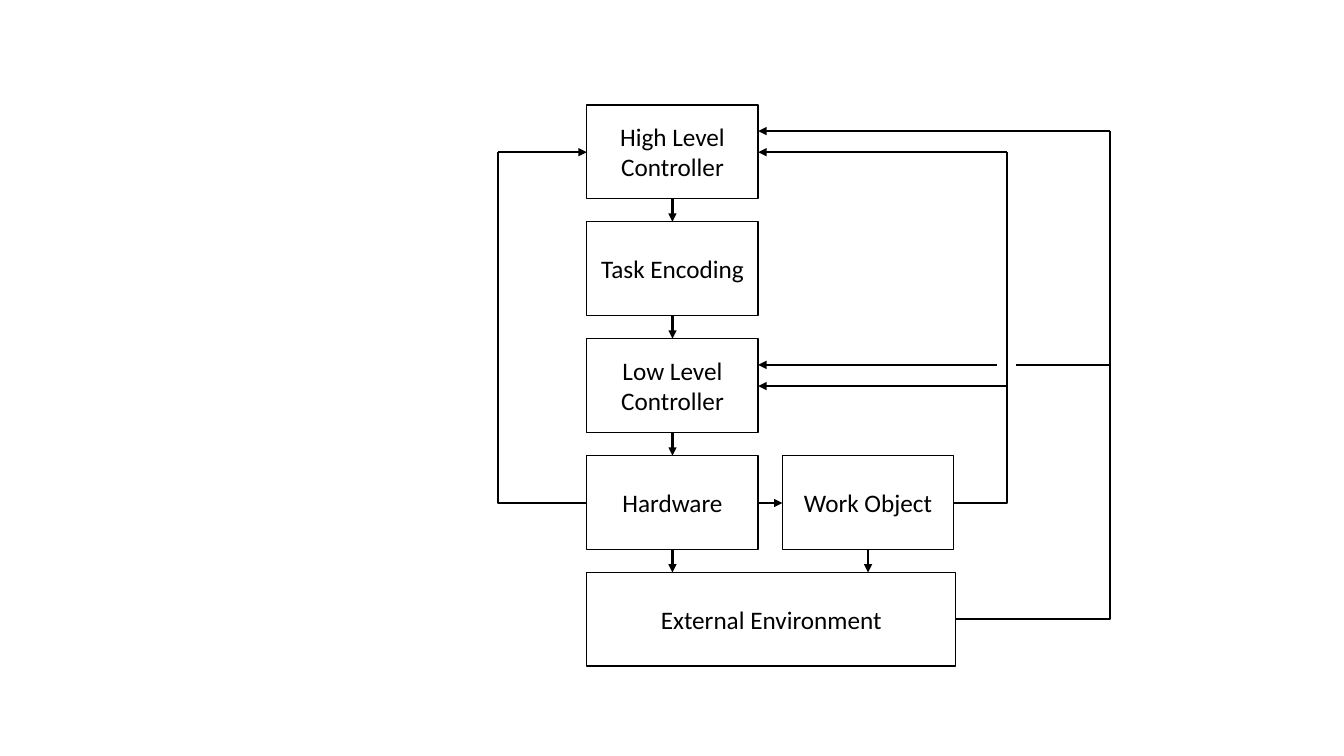
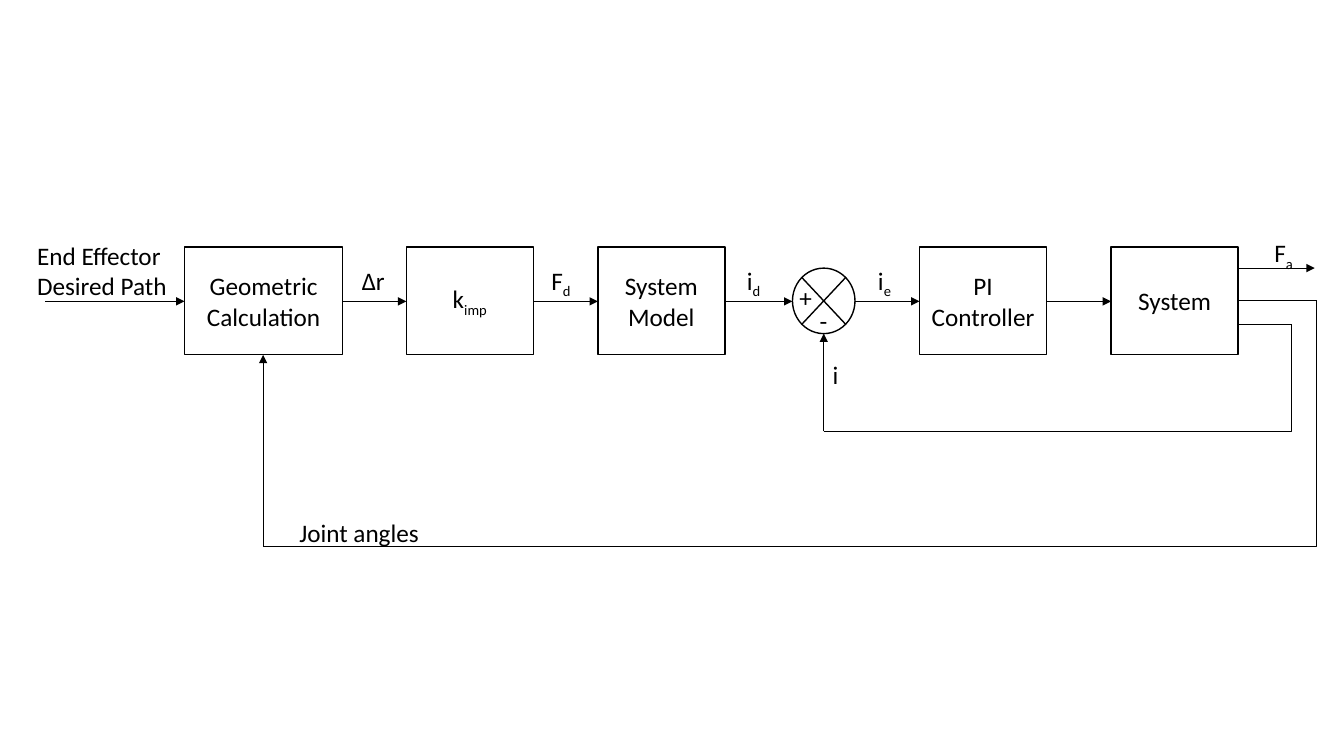
import pptx
import pptx.dml.color
import pptx.enum.shapes
import pptx.enum.text
import pptx.oxml.ns
import pptx.util
from lxml import etree

PX = 9144  # EMU, 100 px to the inch
BLACK = pptx.dml.color.RGBColor.from_string("000000")
WHITE = pptx.dml.color.RGBColor.from_string("FFFFFF")
RECTANGLE = pptx.enum.shapes.MSO_SHAPE.RECTANGLE
OVAL = pptx.enum.shapes.MSO_SHAPE.OVAL
CONNECTOR = pptx.enum.shapes.MSO_CONNECTOR
qn = pptx.oxml.ns.qn


def add_box(shapes, left, top, width, height, text, outline=None):
    """Add an outlined shape, or a plain label if no outline; "_" starts a subscript."""
    frame = [value * PX for value in (left, top, width, height)]
    if outline is None:
        shape = shapes.add_textbox(*frame)
        shape.text_frame.word_wrap = False
        shape.text_frame.auto_size = pptx.enum.text.MSO_AUTO_SIZE.SHAPE_TO_FIT_TEXT
        alignment = pptx.enum.text.PP_ALIGN.LEFT
    else:
        shape = shapes.add_shape(outline, *frame)
        shape.shadow.inherit = False
        shape.fill.solid()
        shape.fill.fore_color.rgb = WHITE
        shape.line.color.rgb = BLACK
        shape.line.width = pptx.util.Pt(1)
        shape.text_frame.word_wrap = True
        shape.text_frame.vertical_anchor = pptx.enum.text.MSO_ANCHOR.MIDDLE
        alignment = pptx.enum.text.PP_ALIGN.CENTER
    shape.text_frame.text = text.partition("_")[0]
    for paragraph in shape.text_frame.paragraphs:
        paragraph.alignment = alignment
        paragraph.font.name = "Calibri"
        paragraph.font.size = pptx.util.Pt(18)
        paragraph.font.color.rgb = BLACK
    subscript = text.partition("_")[2]
    if subscript:
        run = shape.text_frame.paragraphs[0].add_run()
        run.text = subscript
        run._r.get_or_add_rPr().set("baseline", "-25000")


def connect(shapes, start, end, weight, arrow=True, elbow=False):
    """Draw a line from start to end; an elbow runs across first, then up or down."""
    kind = CONNECTOR.ELBOW if elbow else CONNECTOR.STRAIGHT
    connector = shapes.add_connector(kind, *(value * PX for value in (*start, *end)))
    connector.line.color.rgb = BLACK
    connector.line.width = pptx.util.Pt(weight)
    properties = connector._element.spPr
    if elbow:
        properties.find(qn("a:prstGeom")).set("prst", "bentConnector2")
    if arrow:
        etree.SubElement(properties.find(qn("a:ln")), qn("a:tailEnd"), type="triangle")
    etree.SubElement(properties, qn("a:effectLst"))


presentation = pptx.Presentation()
presentation.slide_width = 1333 * PX
presentation.slide_height = 750 * PX
blank = presentation.slide_layouts[6]

# Slide 1: controller hierarchy with feedback loops
shapes = presentation.slides.add_slide(blank).shapes
left, width, height, first_top, pitch = 582, 170, 93, 104, 116
right, middle = left + width, left + width // 2
object_left = 776
object_right, object_middle = object_left + width, object_left + width // 2
layers = ["High Level Controller", "Task Encoding", "Low Level Controller",
          "Hardware", "External Environment"]
tops = [first_top + pitch * row for row in range(len(layers))]
high_y, _, low_y, hardware_y, environment_y = [top + 47 for top in tops]

for layer, top in zip(layers, tops):
    layer_width = 366 if layer == "External Environment" else width
    add_box(shapes, left, top, layer_width, height, layer, RECTANGLE)
add_box(shapes, object_left, tops[3], width, height, "Work Object", RECTANGLE)

for top in tops[1:]:
    connect(shapes, (middle, top - pitch + height), (middle, top), 1.5)
connect(shapes, (object_middle, tops[3] + height), (object_middle, tops[4]), 1.5)
connect(shapes, (right, hardware_y), (object_left, hardware_y), 1.5)

hardware_x, object_x, environment_x = 494, 999, 1101
upper = 21  # environment feedback enters this far above the middle
for start, end in [((left, hardware_y), (hardware_x, high_y)),
                   ((object_right, hardware_y), (object_x, high_y)),
                   ((left + 366, environment_y - 1), (environment_x, high_y - upper))]:
    connect(shapes, start, end, 1.5, arrow=False, elbow=True)
for start_x, end_x, y in [(hardware_x, left, high_y),
                          (object_x, right, high_y),
                          (object_x, right, low_y),
                          (environment_x, right, high_y - upper),
                          (object_x - 10, right, low_y - upper)]:
    connect(shapes, (start_x, y), (end_x, y), 1.5)
connect(shapes, (object_x + 9, low_y - upper), (environment_x, low_y - upper), 1.5, arrow=False)

# Slide 2: impedance control loop
shapes = presentation.slides.add_slide(blank).shapes
axis_y, block_top, block_height = 299, 245, 107
junction_left, junction_width = 786, 62
stages = [(183, 157, "Geometric Calculation"), (403, 126, "k_imp"), (593, 126, "System Model"),
          (junction_left, junction_width, None),
          (912, 126, "PI Controller"), (1102, 126, "System")]

signal_x = 45
for stage_left, stage_width, text in stages:
    if text:
        add_box(shapes, stage_left, block_top, stage_width, block_height, text, RECTANGLE)
    connect(shapes, (signal_x, axis_y), (stage_left, axis_y), 0.5)
    signal_x = stage_left + stage_width

junction = shapes.add_group_shape().shapes
add_box(junction, junction_left, 266, junction_width, 65, "", OVAL)
connect(junction, (795, 275), (839, 322), 1, arrow=False)
connect(junction, (795, 322), (839, 275), 1, arrow=False)
add_box(junction, 783, 275, 33, 40, "+")
add_box(junction, 803, 298, 28, 40, "-")

# Each feedback: output height, outer x, lower y, target x, target bottom
for output_y, outer_x, lower_y, target_x, target_y in [(322, 1281, 428, 817, 331),
                                                       (298, 1306, 542, 261, 352)]:
    connect(shapes, (signal_x, output_y), (outer_x, output_y), 0.5, arrow=False)
    connect(shapes, (target_x, lower_y), (outer_x, output_y), 0.5, arrow=False, elbow=True)
    connect(shapes, (target_x, lower_y), (target_x, target_y), 0.5)
connect(shapes, (signal_x, 266), (1304, 266), 0.5)

for label_left, label_top, label_width, label_height, text in [
        (27, 233, 150, 71, "End Effector\nDesired Path"),
        (349, 258, 43, 40, "Δr"),
        (537, 258, 40, 40, "F_d"),
        (731, 258, 35, 40, "i_d"),
        (861, 258, 34, 40, "i_e"),
        (1254, 231, 39, 40, "F_a"),
        (816, 352, 26, 40, "i"),
        (287, 508, 140, 40, "Joint angles")]:
    add_box(shapes, label_left, label_top, label_width, label_height, text)

presentation.save("out.pptx")
